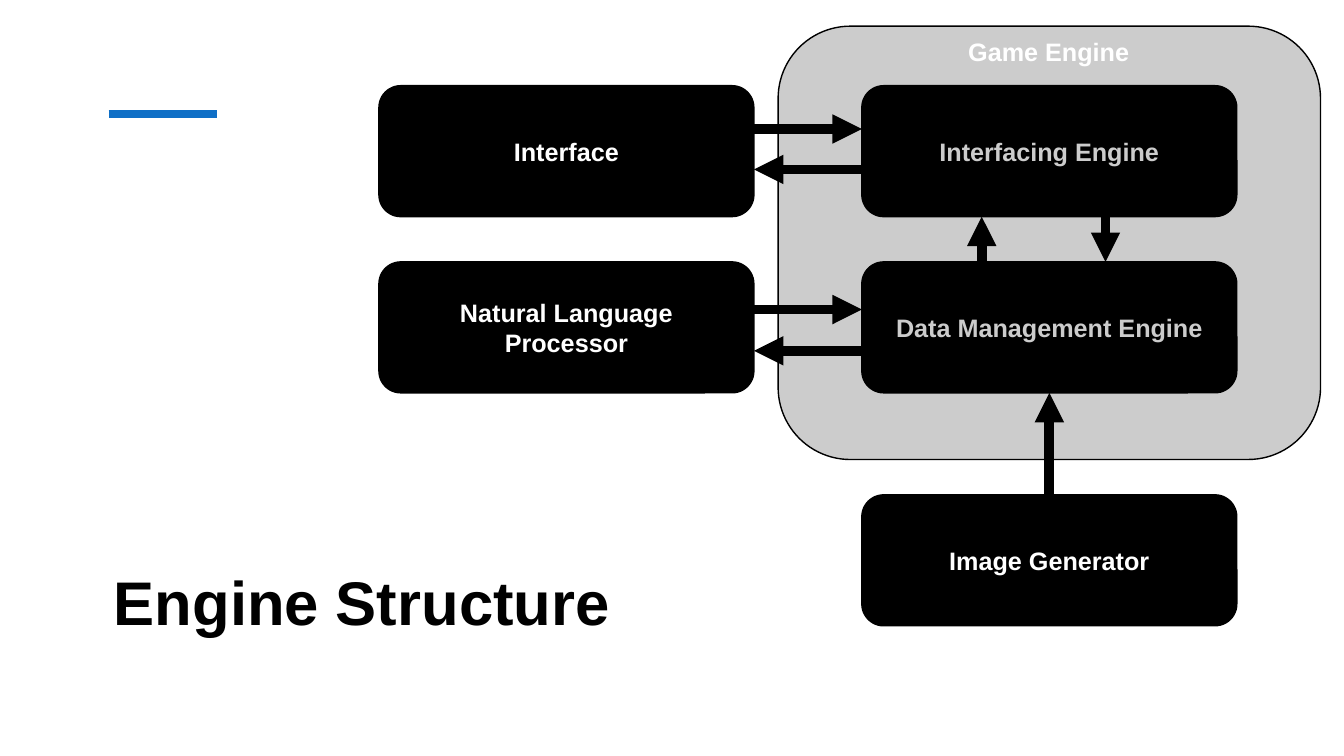
"""Build the Engine Structure slide: component boxes, engine panel and data-flow arrows."""
from lxml.etree import SubElement
from pptx import Presentation
from pptx.dml.color import RGBColor
from pptx.enum.shapes import MSO_CONNECTOR, MSO_SHAPE
from pptx.enum.text import MSO_ANCHOR, PP_ALIGN
from pptx.oxml.ns import qn
from pptx.util import Cm, Pt

BLACK, WHITE, BLUE = "000000", "FFFFFF", "0F6FC6"
TITLE = ("Engine Structure", (2.72, 13.92, 28.78, 3.66))
LABEL = ("Game Engine", (23.85, 0.79, 5.16, 1.02))
PANEL = (19.61, 0.66, 13.67, 10.92)
ACCENT = (2.74, 2.87, 5.46, 2.87)
BOX_SIZE = (9.45, 3.3)
COLUMNS = (9.55, 21.72)
ROWS = (2.16, 6.6, 12.47)
ENGINES = [("Interfacing Engine", 1, 0), ("Data Management Engine", 1, 1)]
COMPONENTS = [("Interface", 0, 0), ("Natural Language Processor", 0, 1), ("Image Generator", 1, 2)]
RIGHTWARD = (17.98, COLUMNS[1])
LEFTWARD = (23.06, COLUMNS[0] + BOX_SIZE[0])
EXCHANGES = [(3.25, 4.27), (7.8, 8.84)]
UPWARD = (24.74, 7.11, 24.74, ROWS[0] + BOX_SIZE[1])
DOWNWARD = (27.86, ROWS[0] + BOX_SIZE[1], 27.86, ROWS[1])


def color(value):
    return RGBColor.from_string(value)


def write(frame, text, size, ink, align, **frame_format):
    for name, value in {"word_wrap": True, **frame_format}.items():
        setattr(frame, name, value)
    para = frame.paragraphs[0]
    para.alignment = align
    span = para.add_run()
    span.text = text
    for name, value in {"name": "Arial", "size": Pt(size), "bold": True}.items():
        setattr(span.font, name, value)
    span.font.color.rgb = color(ink)


def add_rounded(page, place):
    box = page.shapes.add_shape(MSO_SHAPE.ROUNDED_RECTANGLE, *map(Cm, place))
    box.shadow.inherit = False
    box.fill.solid()
    box.fill.fore_color.rgb = color(BLACK)
    box.line.color.rgb = color(BLACK)
    box.line.width = Pt(1)
    return box


def add_component(page, text, column, row):
    box = add_rounded(page, (COLUMNS[column], ROWS[row], *BOX_SIZE))
    write(box.text_frame, text, 18, WHITE, PP_ALIGN.CENTER, vertical_anchor=MSO_ANCHOR.MIDDLE)
    return box


def add_line(page, ends, ink, width, arrow=True):
    line = page.shapes.add_connector(MSO_CONNECTOR.STRAIGHT, *map(Cm, ends))
    line.line.color.rgb = color(ink)
    line.line.width = Pt(width)
    if arrow:
        SubElement(line.line._get_or_add_ln(), qn("a:tailEnd"), type="triangle")
    SubElement(line._element.spPr, qn("a:effectLst"))
    return line


def main():
    deck = Presentation()
    deck.slide_width, deck.slide_height = Cm(33.87), Cm(19.05)
    page = deck.slides.add_slide(deck.slide_layouts[5])

    title = page.shapes.title
    text, place = TITLE
    for name, value in zip(("left", "top", "width", "height"), place):
        setattr(title, name, Cm(value))
    write(title.text_frame, text, 44, BLACK, PP_ALIGN.LEFT, vertical_anchor=MSO_ANCHOR.TOP,
          margin_left=Cm(0.15), margin_top=Cm(0.3))
    add_line(page, ACCENT, BLUE, 6, arrow=False)

    boxes = {name: add_component(page, name, column, row) for name, column, row in ENGINES}
    panel = add_rounded(page, PANEL)
    panel_color = panel.fill._xPr.find(qn("a:solidFill"))[0]
    SubElement(panel_color, qn("a:alpha"), val="20000")
    text, place = LABEL
    label = page.shapes.add_textbox(*map(Cm, place))
    write(label.text_frame, text, 18, WHITE, PP_ALIGN.CENTER)
    boxes.update({name: add_component(page, name, column, row) for name, column, row in COMPONENTS})

    for outward, inward in EXCHANGES:
        for (start, end), height in ((RIGHTWARD, outward), (LEFTWARD, inward)):
            add_line(page, (start, height, end, height), BLACK, 7)
    for ends in (UPWARD, DOWNWARD):
        add_line(page, ends, BLACK, 7)
    center = COLUMNS[1] + BOX_SIZE[0] / 2
    feed = add_line(page, (center, ROWS[2], center, ROWS[1] + BOX_SIZE[1]), BLACK, 7)
    feed.begin_connect(boxes["Image Generator"], 0)
    feed.end_connect(boxes["Data Management Engine"], 2)

    deck.save("out.pptx")


if __name__ == "__main__":
    main()
